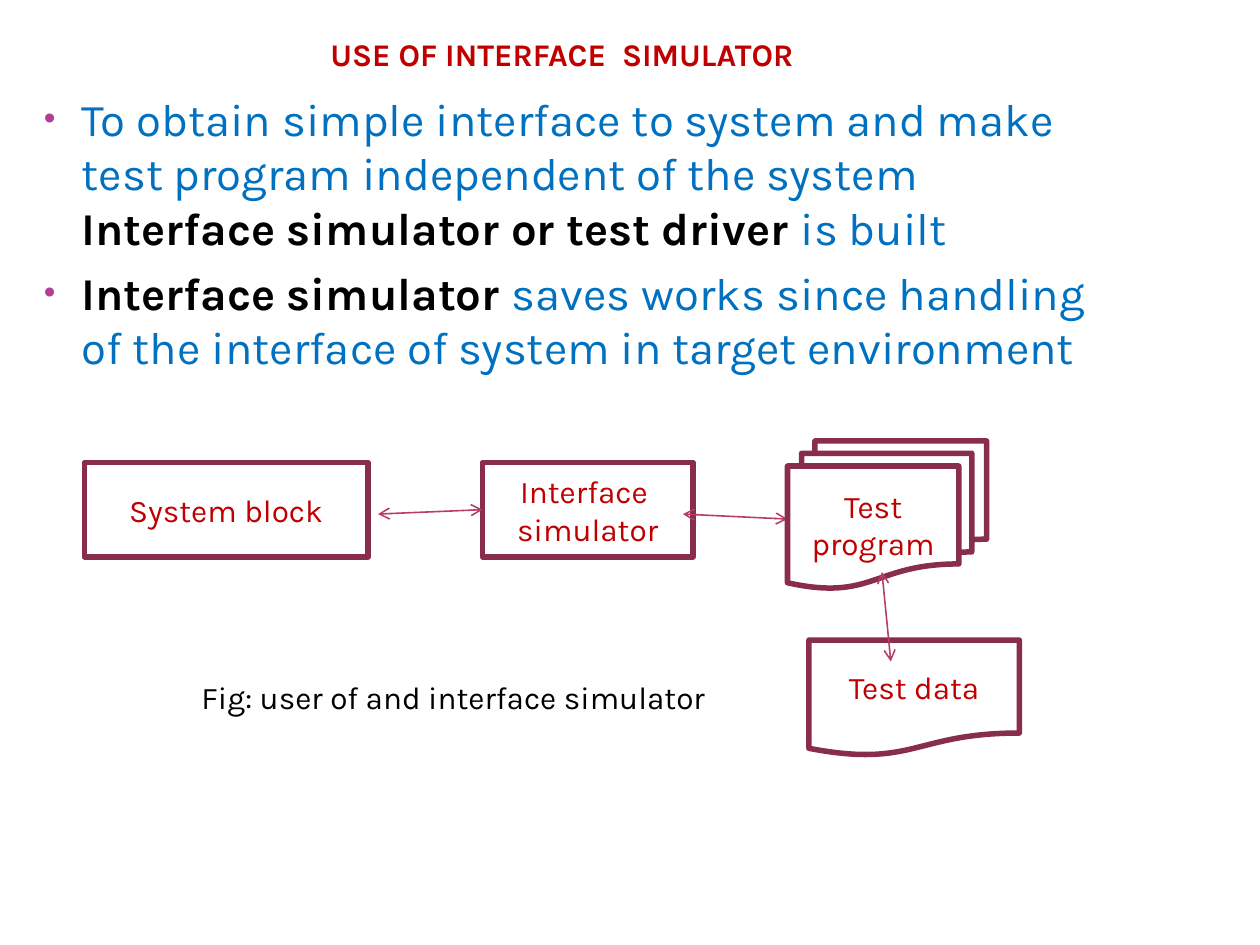
from dataclasses import dataclass

from lxml.etree import SubElement
from pptx import Presentation
from pptx.dml.color import RGBColor
from pptx.enum.shapes import MSO_CONNECTOR as Connector, MSO_SHAPE as Shape
from pptx.enum.text import MSO_ANCHOR as Anchor, MSO_AUTO_SIZE as AutoSize, PP_ALIGN as Align
from pptx.oxml.ns import qn
from pptx.util import Inches, Pt


@dataclass(frozen=True)
class Theme:
    """Colours, font and type sizes of the slide."""
    font: str = "Karla"
    red: str = "C00000"
    blue: str = "0070C0"
    black: str = "000000"
    white: str = "FFFFFF"
    outline: str = "882D4D"
    arrow: str = "B83D68"
    bullet: str = "B13F9A"
    label_size: int = 18
    body_size: int = 26


class SlideBuilder:
    """Adds styled elements to one slide."""

    def __init__(self, slide, theme):
        self.slide = slide
        self.theme = theme

    def add_run(self, paragraph, text, color, size=None, bold=False):
        """Append one formatted run."""
        run = paragraph.add_run()
        run.text = text
        run.font.name = self.theme.font
        run.font.size = Pt(size or self.theme.label_size)
        run.font.bold = bold
        run.font.color.rgb = RGBColor.from_string(color)

    def add_title(self, text, left, top, width, height):
        """Place and fill the title placeholder."""
        title = self.slide.shapes.title
        title.left, title.top = Inches(left), Inches(top)
        title.width, title.height = Inches(width), Inches(height)
        frame = title.text_frame
        frame.auto_size = AutoSize.NONE
        frame.vertical_anchor = Anchor.BOTTOM
        frame.margin_left = frame.margin_right = Inches(0.05)
        frame.margin_top = frame.margin_bottom = 0
        paragraph = frame.paragraphs[0]
        paragraph.alignment = Align.CENTER
        self.add_run(paragraph, text, self.theme.red, bold=True)

    def add_bullets(self, items, left, top, width, height):
        """Add a bulleted list whose items are lists of (text, is_term)."""
        box = self.slide.shapes.add_textbox(*map(Inches, (left, top, width, height)))
        frame = box.text_frame
        frame.word_wrap = True
        for index, item in enumerate(items):
            paragraph = frame.add_paragraph() if index else frame.paragraphs[0]
            if index:
                paragraph.space_before = Pt(6)
            self.set_bullet(paragraph)
            for text, is_term in item:
                color = self.theme.black if is_term else self.theme.blue
                self.add_run(paragraph, text, color, self.theme.body_size, is_term)

    def set_bullet(self, paragraph):
        """Give a paragraph a hanging coloured bullet."""
        properties = paragraph._p.get_or_add_pPr()
        properties.set("marL", str(Inches(0.3)))
        properties.set("indent", str(Inches(-0.3)))
        color = SubElement(properties, qn("a:buClr"))
        SubElement(color, qn("a:srgbClr"), val=self.theme.bullet)
        SubElement(properties, qn("a:buSzPct"), val="73000")
        SubElement(properties, qn("a:buFont"), typeface="Arial")
        SubElement(properties, qn("a:buChar"), char="•")

    def add_block(self, kind, lines, left, top, width, height):
        """Add an outlined diagram block with centred lines of text."""
        shape = self.slide.shapes.add_shape(kind, *map(Inches, (left, top, width, height)))
        shape.shadow.inherit = False
        shape.fill.solid()
        shape.fill.fore_color.rgb = RGBColor.from_string(self.theme.white)
        shape.line.color.rgb = RGBColor.from_string(self.theme.outline)
        shape.line.width = Pt(3.15)
        frame = shape.text_frame
        frame.vertical_anchor = Anchor.MIDDLE
        for index, text in enumerate(lines):
            paragraph = frame.add_paragraph() if index else frame.paragraphs[0]
            paragraph.alignment = Align.CENTER
            self.add_run(paragraph, text, self.theme.red)
        return shape

    def add_arrow(self, start, end, end_block=None):
        """Add a double-headed arrow, optionally joined to a block's left side."""
        points = map(Inches, (*start, *end))
        arrow = self.slide.shapes.add_connector(Connector.STRAIGHT, *points)
        if end_block is not None:
            arrow.end_connect(end_block, 1)
        arrow.line.color.rgb = RGBColor.from_string(self.theme.arrow)
        arrow.line.width = Pt(0.9)
        line = arrow.line._get_or_add_ln()
        for tag in ("a:headEnd", "a:tailEnd"):
            SubElement(line, qn(tag), type="arrow")
        SubElement(arrow._element.spPr, qn("a:effectLst"))

    def add_caption(self, text, left, top, width, height):
        """Add a one-line caption."""
        box = self.slide.shapes.add_textbox(*map(Inches, (left, top, width, height)))
        box.text_frame.word_wrap = False
        box.text_frame.auto_size = AutoSize.SHAPE_TO_FIT_TEXT
        self.add_run(box.text_frame.paragraphs[0], text, self.theme.black)


def main():
    """Build and save the interface simulator slide."""
    presentation = Presentation()
    presentation.slide_width, presentation.slide_height = Inches(10), Inches(7.5)
    slide = presentation.slides.add_slide(presentation.slide_layouts[5])
    builder = SlideBuilder(slide, Theme())

    builder.add_title("USE OF INTERFACE  SIMULATOR", 0.5, 0.35, 7.92, 0.23)
    builder.add_bullets([
        [("To obtain simple interface to system and make test program "
          "independent of the system ", False),
         ("Interface simulator or test driver ", True),
         ("is built", False)],
        [("Interface simulator ", True),
         ("saves works since handling of the interface of system in "
          "target environment", False)],
    ], 0.25, 0.67, 8.58, 6.58)

    builder.add_block(Shape.RECTANGLE, ["System block"], 0.67, 3.67, 2.25, 0.75)
    simulator = builder.add_block(
        Shape.RECTANGLE, ["Interface ", "simulator"], 3.83, 3.67, 1.67, 0.75)
    builder.add_arrow((3, 4.08), (3.83, 4.04), simulator)
    builder.add_arrow((5.42, 4.08), (6.25, 4.12))
    builder.add_block(
        Shape.FLOWCHART_MULTIDOCUMENT, ["Test", "program"], 6.25, 3.5, 1.58, 1.17)
    builder.add_block(Shape.FLOWCHART_DOCUMENT, ["Test data"], 6.42, 5.08, 1.67, 0.92)
    builder.add_arrow((7, 4.54), (7.07, 5.25))
    builder.add_caption("Fig: user of and interface simulator", 1.5, 5.33, 4.29, 0.4)

    presentation.save("out.pptx")


if __name__ == "__main__":
    main()
